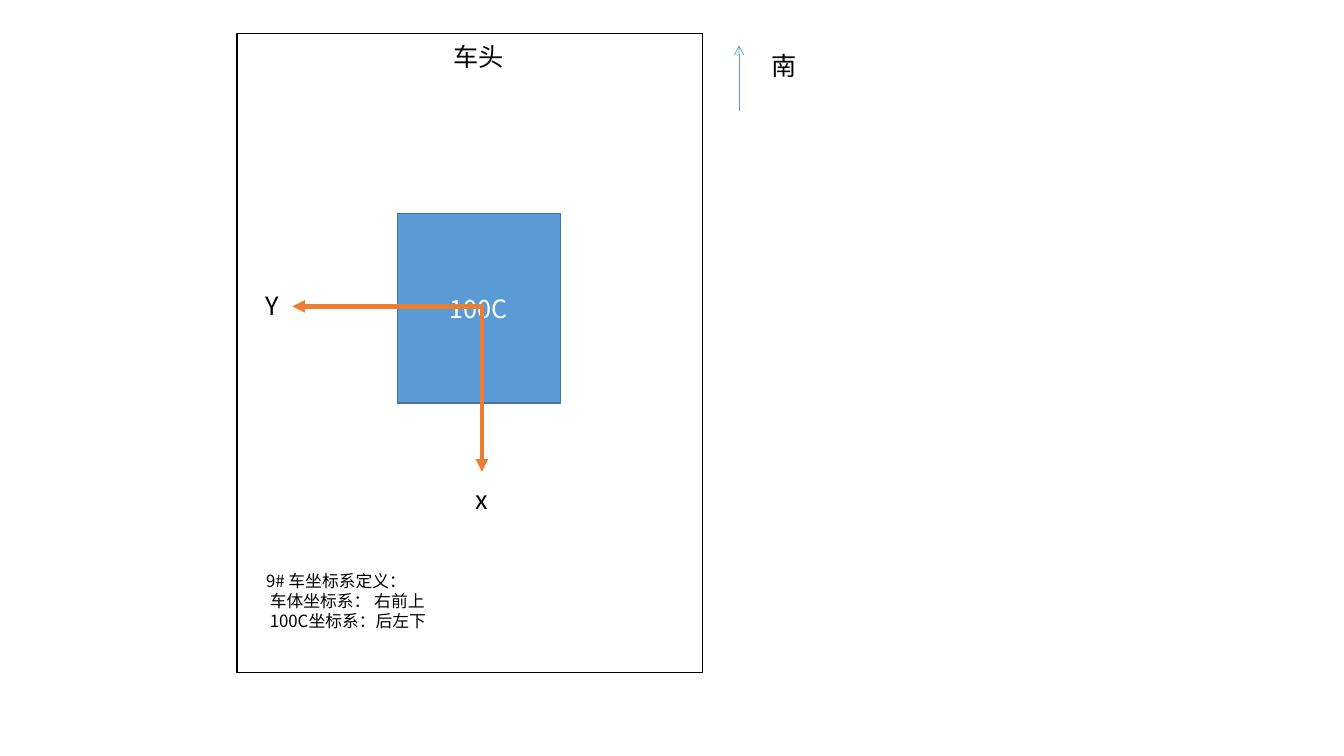
import pptx
import pptx.util
import pptx.dml.color
import pptx.enum.shapes
import pptx.enum.text
import pptx.oxml
from pptx.util import Inches

FONT = "Noto Sans CJK SC"
NOTE = "9# 车坐标系定义：\n 车体坐标系： 右前上\n 100C坐标系：后左下"

BOXES = [
    (2.35, 0.33, 4.62, 6.34, "FFFFFF", "000000", ""),
    (3.94, 2.12, 1.62, 1.88, "5B9BD5", "43739E", "100C"),
]
ARROWS = [
    (4.78, 3.03, 4.78, 4.68, "ED7D31", 3, "triangle"),
    (4.77, 3.04, 2.9, 3.04, "ED7D31", 3, "triangle"),
    (7.33, 1.1, 7.33, 0.45, "5B9BD5", 0.5, "arrow"),
]
LABELS = [
    (4.62, 4.76, 0.31, 0.4, "x", 18, False),
    (2.54, 2.83, 0.34, 0.4, "Y", 18, False),
    (4.4, 0.36, 0.71, 0.4, "车头", 18, False),
    (2.54, 5.61, 3.48, 0.71, NOTE, 12, True),
    (7.55, 0.45, 0.45, 0.4, "南", 18, False),
]


def paint(color, value):
    color.rgb = pptx.dml.color.RGBColor.from_string(value)


def add_xml(parent, tag, attrs=""):
    ns = 'xmlns:a="http://schemas.openxmlformats.org/drawingml/2006/main"'
    parent.append(pptx.oxml.parse_xml(f"<a:{tag} {ns} {attrs}/>"))


def write(tf, text, size, color):
    p = tf.paragraphs[0]
    p.text = text
    p.font.size = pptx.util.Pt(size)
    p.font.name = FONT
    paint(p.font.fill_color if hasattr(p.font, "fill_color") else p.font.color, color)
    add_xml(p.font._element, "ea", f'typeface="{FONT}"')
    return p


def add_box(s, x, y, w, h, fill, line, text):
    sp = s.shapes.add_shape(pptx.enum.shapes.MSO_SHAPE.RECTANGLE,
                            Inches(x), Inches(y), Inches(w), Inches(h))
    sp.shadow.inherit = False
    sp.fill.solid()
    paint(sp.fill.fore_color, fill)
    paint(sp.line.color, line)
    sp.line.width = pptx.util.Pt(1)
    if text:
        sp.text_frame.vertical_anchor = pptx.enum.text.MSO_ANCHOR.MIDDLE
        p = write(sp.text_frame, text, 18, "FFFFFF")
        p.alignment = pptx.enum.text.PP_ALIGN.CENTER


def add_arrow(s, x1, y1, x2, y2, color, width, head):
    sp = s.shapes.add_connector(pptx.enum.shapes.MSO_CONNECTOR.STRAIGHT,
                                Inches(x1), Inches(y1), Inches(x2), Inches(y2))
    paint(sp.line.color, color)
    sp.line.width = pptx.util.Pt(width)
    add_xml(sp.line._get_or_add_ln(), "tailEnd", f'type="{head}"')
    add_xml(sp._element.spPr, "effectLst")


def add_label(s, x, y, w, h, text, size, wrap):
    sp = s.shapes.add_textbox(Inches(x), Inches(y), Inches(w), Inches(h))
    tf = sp.text_frame
    tf.word_wrap = wrap
    tf.auto_size = pptx.enum.text.MSO_AUTO_SIZE.SHAPE_TO_FIT_TEXT
    write(tf, text, size, "000000")


def main():
    prs = pptx.Presentation()
    prs.slide_width, prs.slide_height = Inches(13.33), Inches(7.5)
    s = prs.slides.add_slide(prs.slide_layouts[6])
    for add, items in ((add_box, BOXES), (add_arrow, ARROWS), (add_label, LABELS)):
        for item in items:
            add(s, *item)
    prs.save("out.pptx")


if __name__ == "__main__":
    main()
